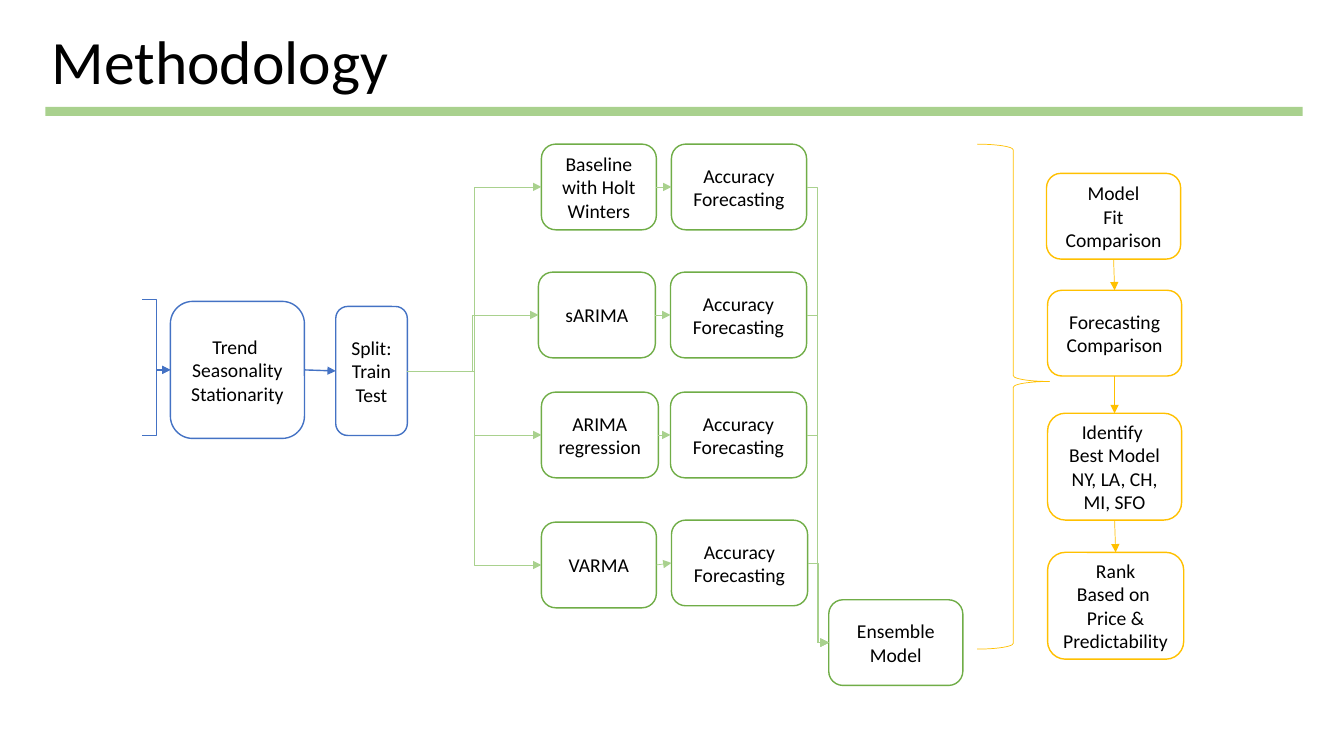
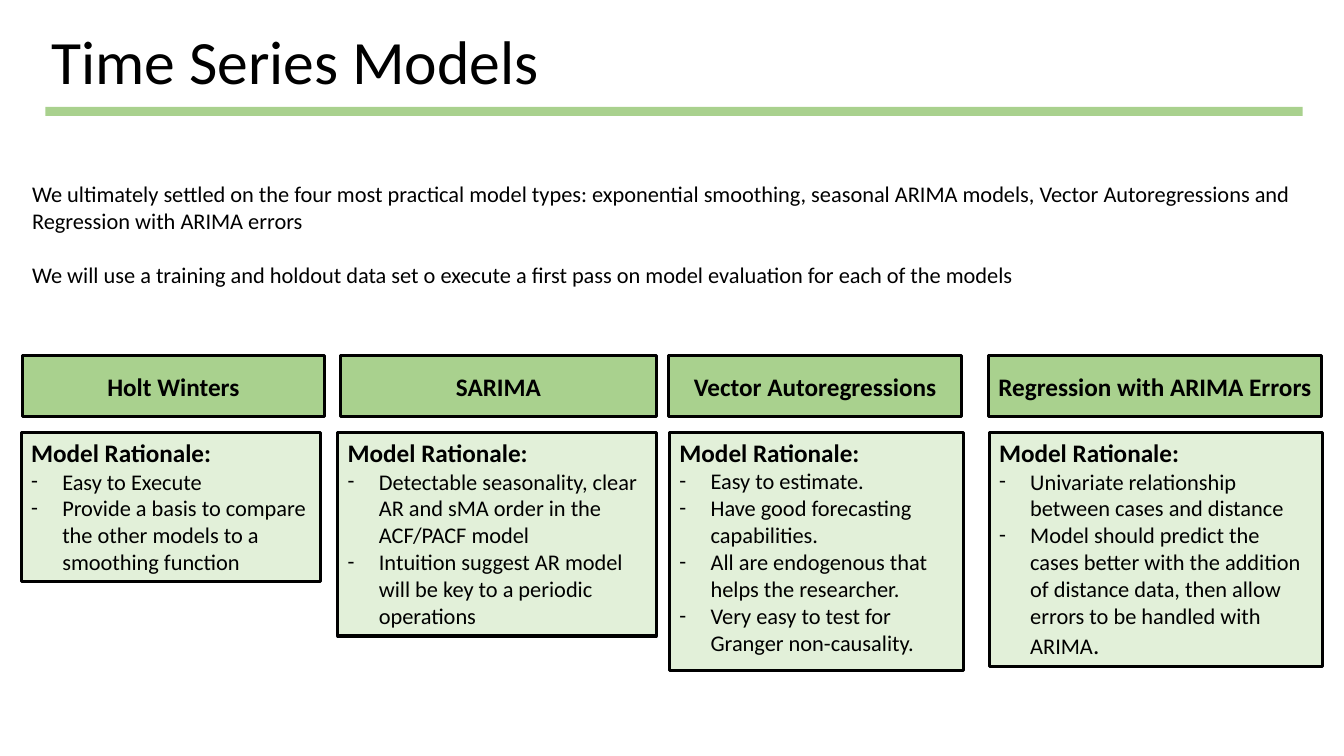
import pptx
import pptx.util
import pptx.dml.color
import pptx.enum.shapes
import pptx.enum.text
import pptx.oxml.ns
import lxml.etree

PX = 9144  # 100 px to the inch
FONT = "Calibri"
HUES = {
    "ink": "000000", "paper": "FFFFFF", "blue": "4472C4", "green": "70AD47",
    "leaf": "A9D18E", "pale": "E2F0D9", "gold": "FFC000",
}
TOP, LEFT, BOTTOM, RIGHT = range(4)

KIND = pptx.enum.shapes.MSO_SHAPE
WIRE = pptx.enum.shapes.MSO_CONNECTOR
ALIGN = pptx.enum.text.PP_ALIGN
ANCHOR = pptx.enum.text.MSO_ANCHOR
FIT = pptx.enum.text.MSO_AUTO_SIZE

# Slide 1: boxes are (place, lines of text)
TREND = ((169, 299, 133, 136), ["Trend ", "Seasonality", "Stationarity"])
SPLIT = ((333, 304, 71, 128), ["Split:", "Train", "Test"])
MODELS = [
    ((537, 143, 114, 85), ["Baseline with Holt Winters"]),
    ((534, 270, 116, 85), ["sARIMA"]),
    ((537, 389, 116, 85), ["ARIMA regression"]),
    ((537, 518, 114, 85), ["VARMA"]),
]
SCORE = ["Accuracy", "Forecasting"]
SCORES = [(666, 143, 134, 85), (665, 270, 135, 85),
          (665, 389, 135, 85), (666, 516, 135, 85)]
BLEND = ((822, 595, 133, 85), ["Ensemble Model"])
STEPS = [
    ((1038, 172, 133, 85), ["Model", "Fit", "Comparison"]),
    ((1039, 288, 133, 85), ["Forecasting Comparison"]),
    ((1039, 410, 133, 106), ["Identify ", "Best Model", "NY, LA, CH, MI, SFO"]),
    ((1039, 548, 135, 106), ["Rank", "Based on ", "Price & Predictability"]),
]
INPUTS = [(141, 297), (141, 432)]
BRACE = (969, 143, 72, 501)

# Slide 2: cards are (heading, heading x and width, body x, width and height, points)
INTRO = [
    "We ultimately settled on the four most practical model types: exponential "
    "smoothing, seasonal ARIMA models, Vector Autoregressions and Regression "
    "with ARIMA errors",
    "We will use a training and holdout data set o execute a first pass on model "
    "evaluation for each of the models",
]
LEAD = "Model Rationale:"
HEAD_Y, HEAD_H, BODY_Y = 353, 60, 429
CARDS = [
    ("Holt Winters", (22, 300), (21, 297, 148), [
        [("Easy to Execute", 16)],
        [("Provide a basis to compare the other models to a smoothing function", 16)],
    ]),
    ("SARIMA", (338, 313), (335, 316, 202), [
        [("Detectable seasonality, clear AR and sMA order in the ACF/PACF model", 16)],
        [("Intuition suggest AR model will be key to a periodic operations", 16)],
    ]),
    ("Vector Autoregressions", (663, 291), (664, 292, 236), [
        [("Easy to estimate.", 16)],
        [("Have good forecasting capabilities.", 16)],
        [("All are endogenous that helps the researcher.", 16)],
        [("Very easy to test for Granger non-causality.", 16)],
    ]),
    ("Regression with ARIMA Errors", (980, 331), (981, 331, 232), [
        [("Univariate relationship between cases and distance", 16)],
        [("Model should predict the cases better with the addition of distance "
          "data, then allow errors to be handled with ARIMA", 16), (".", 18)],
    ]),
]


def emu(*vals):
    return [val * PX for val in vals]


def hue(name):
    return pptx.dml.color.RGBColor.from_string(HUES[name])


def write(para, text, size, bold=False):
    run = para.add_run()
    run.text = text
    run.font.name = FONT
    run.font.size = pptx.util.Pt(size)
    run.font.bold = bold
    run.font.color.rgb = hue("ink")


def paras(frame, count, align):
    """Return count aligned paragraphs of a frame, adding those it lacks."""
    frame.word_wrap = True
    rows = [frame.paragraphs[0]] + [frame.add_paragraph() for _ in range(count - 1)]
    for row in rows:
        row.alignment = align
    return rows


def dash(para):
    """Give a paragraph a hanging dash."""
    props = para._p.get_or_add_pPr()
    props.set("marL", str(31 * PX))
    props.set("indent", str(-31 * PX))
    qn = pptx.oxml.ns.qn
    lxml.etree.SubElement(props, qn("a:buFont")).set("typeface", FONT)
    lxml.etree.SubElement(props, qn("a:buChar")).set("char", "-")


def draw(slide, kind, place, fill=None, line=None, width=1):
    shape = slide.shapes.add_shape(kind, *emu(*place))
    shape.shadow.inherit = False
    if fill:
        shape.fill.solid()
        shape.fill.fore_color.rgb = hue(fill)
    else:
        shape.fill.background()
    if line:
        shape.line.color.rgb = hue(line)
        shape.line.width = pptx.util.Pt(width)
    else:
        shape.line.fill.background()
    return shape


def node(slide, place, lines, line):
    shape = draw(slide, KIND.ROUNDED_RECTANGLE, place, "paper", line)
    shape.text_frame.vertical_anchor = ANCHOR.MIDDLE
    rows = paras(shape.text_frame, len(lines), ALIGN.CENTER)
    for para, text in zip(rows, lines):
        write(para, text, 14)
    return shape


def link(slide, kind, start, end, line, width=0.5):
    """Draw an arrow; start is (shape, side) or a point, end is (shape, side)."""
    free = isinstance(start[0], int)
    wire = slide.shapes.add_connector(kind, *(emu(*start) if free else (0, 0)), 0, 0)
    if not free:
        wire.begin_connect(*start)
    wire.end_connect(*end)
    wire.line.color.rgb = hue(line)
    wire.line.width = pptx.util.Pt(width)
    qn = pptx.oxml.ns.qn
    props = wire.element.spPr
    lxml.etree.SubElement(props.find(qn("a:ln")), qn("a:tailEnd")).set("type", "triangle")
    lxml.etree.SubElement(props, qn("a:effectLst"))


def begin(deck, text):
    """Add a slide with its title and the band below it."""
    slide = deck.slides.add_slide(deck.slide_layouts[5])
    title = slide.shapes.title
    title.left, title.top, title.width, title.height = emu(41, 21, 1150, 86)
    frame = title.text_frame
    frame.auto_size = FIT.NONE
    frame.vertical_anchor = ANCHOR.MIDDLE
    para = paras(frame, 1, ALIGN.LEFT)[0]
    para.line_spacing = 0.9
    write(para, text, 44)
    draw(slide, KIND.RECTANGLE, (45, 106, 1247, 9), "leaf")
    return slide


def method(deck):
    slide = begin(deck, "Methodology")
    trend = node(slide, *TREND, "blue")
    split = node(slide, *SPLIT, "blue")
    blend = node(slide, *BLEND, "green")
    for point in INPUTS:
        link(slide, WIRE.ELBOW, point, (trend, LEFT), "blue", 1)
    link(slide, WIRE.STRAIGHT, (trend, RIGHT), (split, LEFT), "blue", 1)
    for (place, lines), spot in zip(MODELS, SCORES):
        model = node(slide, place, lines, "green")
        score = node(slide, spot, SCORE, "green")
        link(slide, WIRE.ELBOW, (split, RIGHT), (model, LEFT), "leaf")
        link(slide, WIRE.STRAIGHT, (model, RIGHT), (score, LEFT), "leaf")
        link(slide, WIRE.ELBOW, (score, RIGHT), (blend, LEFT), "leaf")
    steps = [node(slide, *step, "gold") for step in STEPS]
    for prev, step in zip(steps, steps[1:]):
        link(slide, WIRE.STRAIGHT, (prev, BOTTOM), (step, TOP), "gold")
    brace = draw(slide, KIND.RIGHT_BRACE, BRACE, line="gold", width=0.5)
    brace.adjustments[0] = 0.08
    brace.adjustments[1] = 0.47


def card(slide, head, span, body, points):
    left, width = span
    bar = draw(slide, KIND.RECTANGLE, (left, HEAD_Y, width, HEAD_H), "leaf", "ink", 2.25)
    bar.text_frame.vertical_anchor = ANCHOR.MIDDLE
    write(paras(bar.text_frame, 1, ALIGN.CENTER)[0], head, 18, True)

    left, width, height = body
    box = draw(slide, KIND.RECTANGLE, (left, BODY_Y, width, height), "pale", "ink", 2.25)
    frame = box.text_frame
    frame.vertical_anchor = ANCHOR.TOP
    frame.auto_size = FIT.SHAPE_TO_FIT_TEXT
    lead, *rows = paras(frame, len(points) + 1, ALIGN.LEFT)
    write(lead, LEAD, 18, True)
    for para, runs in zip(rows, points):
        dash(para)
        for text, size in runs:
            write(para, text, size)


def models(deck):
    slide = begin(deck, "Time Series Models")
    frame = slide.shapes.add_textbox(*emu(22, 174, 1293, 118)).text_frame
    rows = paras(frame, len(INTRO), ALIGN.LEFT)
    for para, text in zip(rows, INTRO):
        write(para, text, 16)
    rows[1].space_before = pptx.util.Pt(19.5)
    for item in CARDS:
        card(slide, *item)


def main():
    deck = pptx.Presentation()
    deck.slide_width, deck.slide_height = emu(1333, 750)
    method(deck)
    models(deck)
    deck.save("out.pptx")


if __name__ == "__main__":
    main()
